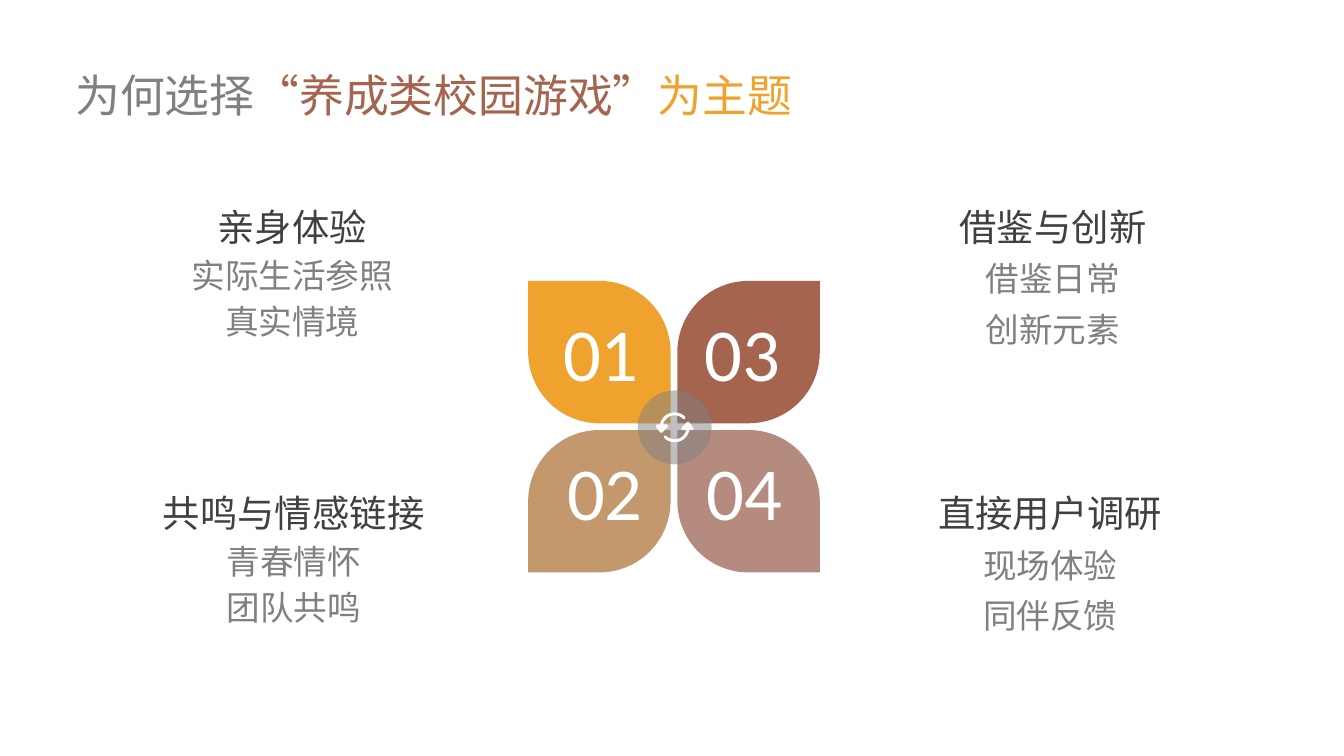
import math
from dataclasses import dataclass

from lxml import etree
from pptx import Presentation
from pptx.dml.color import RGBColor
from pptx.enum import shapes, text
from pptx.oxml.ns import qn
from pptx.util import Inches, Pt


@dataclass(frozen=True)
class Theme:
    white: str = "FFFFFF"
    dark: str = "404040"
    grey: str = "808080"
    orange: str = "F0A22E"
    brown: str = "A5644E"
    tan: str = "C3986D"
    rose: str = "B58B80"
    body_font: str = "Noto Sans CJK SC"
    number_font: str = "Calibri"
    title_size: int = 24
    heading_size: int = 20
    detail_size: int = 18
    number_size: int = 40


THEME = Theme()
PETAL_LEFT, PETAL_TOP = 3.93, 2.09
PETAL_SIZE, PETAL_GAP = 1.06, 0.05
HUB_X, HUB_Y, HUB_SIZE = 5.02, 3.18, 0.55

# column, row, colour, number, number left, number top
PETALS = [
    (0, 0, THEME.orange, "01", 4.19, 2.28),
    (1, 0, THEME.brown, "03", 5.24, 2.28),
    (0, 1, THEME.tan, "02", 4.22, 3.32),
    (1, 1, THEME.rose, "04", 5.26, 3.32),
]

# left, top, height, space before details, heading, details
REASONS = [
    (0.76, 1.45, 1.1, 0, "亲身体验", ["实际生活参照", "真实情境"]),
    (0.77, 3.58, 1.1, 0, "共鸣与情感链接", ["青春情怀", "团队共鸣"]),
    (6.42, 1.45, 1.16, 2, "借鉴与创新", ["借鉴日常", "创新元素"]),
    (6.4, 3.58, 1.16, 2, "直接用户调研", ["现场体验", "同伴反馈"]),
]


def rgb(color):
    return RGBColor.from_string(color)


def set_font(paragraph, name, size, color):
    """Set Latin and East Asian type for the whole paragraph."""
    font = paragraph.font
    font.name, font.size = name, Pt(size)
    font.color.rgb = rgb(color)
    properties = paragraph._p.pPr.find(qn("a:defRPr"))
    etree.SubElement(properties, qn("a:ea")).set("typeface", name)


def prepare_frame(shape):
    frame = shape.text_frame
    frame.margin_left = frame.margin_right = 0
    frame.margin_top = frame.margin_bottom = 0
    frame.word_wrap = True
    frame.auto_size = text.MSO_AUTO_SIZE.SHAPE_TO_FIT_TEXT
    frame.vertical_anchor = text.MSO_ANCHOR.TOP
    return frame


def add_text_frame(slide, left, top, width, height):
    box = slide.shapes.add_textbox(
        Inches(left), Inches(top), Inches(width), Inches(height))
    return prepare_frame(box)


def paint(shape, color):
    shape.shadow.inherit = False
    shape.fill.solid()
    shape.fill.fore_color.rgb = rgb(color)
    shape.line.fill.background()


def set_title(slide):
    title = slide.shapes.title
    title.left, title.top = Inches(0.56), Inches(0.5)
    title.width, title.height = Inches(5.47), Inches(0.4)
    paragraph = prepare_frame(title).paragraphs[0]
    paragraph.alignment = text.PP_ALIGN.LEFT
    set_font(paragraph, THEME.body_font, THEME.title_size, THEME.grey)
    for words, color in [("为何选择", THEME.grey),
                         ("“养成类校园游戏”", THEME.brown),
                         ("为主题", THEME.orange)]:
        run = paragraph.add_run()
        run.text = words
        run.font.color.rgb = rgb(color)


def add_petal(slide, column, row, color):
    """Add a square with two round corners, mirrored across the flower."""
    pitch = PETAL_SIZE + PETAL_GAP
    petal = slide.shapes.add_shape(
        shapes.MSO_SHAPE.ROUND_2_DIAG_RECTANGLE,
        Inches(PETAL_LEFT + column * pitch), Inches(PETAL_TOP + row * pitch),
        Inches(PETAL_SIZE), Inches(PETAL_SIZE))
    falling = column == row
    petal.adjustments[0] = 0 if falling else 0.5
    petal.adjustments[1] = 0.5 if falling else 0
    paint(petal, color)


def add_number(slide, number, left, top):
    paragraph = add_text_frame(slide, left, top, 0.75, 0.67).paragraphs[0]
    paragraph.text = number
    set_font(paragraph, THEME.number_font, THEME.number_size, THEME.white)


def add_hub(slide):
    hub = slide.shapes.add_shape(
        shapes.MSO_SHAPE.OVAL,
        Inches(HUB_X - HUB_SIZE / 2), Inches(HUB_Y - HUB_SIZE / 2),
        Inches(HUB_SIZE), Inches(HUB_SIZE))
    paint(hub, THEME.grey)
    color = hub._element.spPr.find(qn("a:solidFill"))[0]
    etree.SubElement(color, qn("a:alpha")).set("val", "50000")


def add_cycle_icon(slide):
    """Draw two arcs with arrowheads, each the other turned half round."""
    radius = 0.1
    arc = [(radius * math.cos(math.radians(angle)),
            -radius * math.sin(math.radians(angle)))
           for angle in range(180, 44, -5)]
    arrowhead = [(-0.13, -0.01), (-0.1, 0.03), (-0.06, -0.01)]
    outlines = [
        ([(Inches(HUB_X + turn * x), Inches(HUB_Y + turn * y))
          for x, y in outline], closed)
        for turn in (1, -1)
        for outline, closed in ((arc, False), (arrowhead, True))]

    builder = slide.shapes.build_freeform(*outlines[0][0][0])
    for index, (points, closed) in enumerate(outlines):
        if index:
            builder.move_to(*points[0])
        builder.add_line_segments(points[1:], close=closed)
    icon = builder.convert_to_shape()
    icon.shadow.inherit = False
    icon.fill.background()
    icon.line.color.rgb = rgb(THEME.white)
    icon.line.width = Pt(1.6)
    icon._element.spPr.find(qn("a:ln")).set("cap", "rnd")


def add_reason(slide, left, top, height, space_before, heading, details):
    frame = add_text_frame(slide, left, top, 2.83, height)
    for index, words in enumerate([heading, *details]):
        paragraph = frame.add_paragraph() if index else frame.paragraphs[0]
        paragraph.text = words
        paragraph.alignment = text.PP_ALIGN.CENTER
        paragraph.line_spacing = 1.15 if index else 1.2
        if index:
            paragraph.space_before = Pt(space_before)
            set_font(paragraph, THEME.body_font, THEME.detail_size, THEME.grey)
        else:
            set_font(paragraph, THEME.body_font, THEME.heading_size, THEME.dark)


def main():
    presentation = Presentation()
    presentation.slide_width = Inches(10)
    presentation.slide_height = Inches(10 * 9 / 16)
    slide = presentation.slides.add_slide(presentation.slide_layouts[5])

    set_title(slide)
    for column, row, color, *_ in PETALS:
        add_petal(slide, column, row, color)
    for *_, number, left, top in PETALS:
        add_number(slide, number, left, top)
    add_hub(slide)
    add_cycle_icon(slide)
    for reason in REASONS:
        add_reason(slide, *reason)
    presentation.save("out.pptx")


if __name__ == "__main__":
    main()
